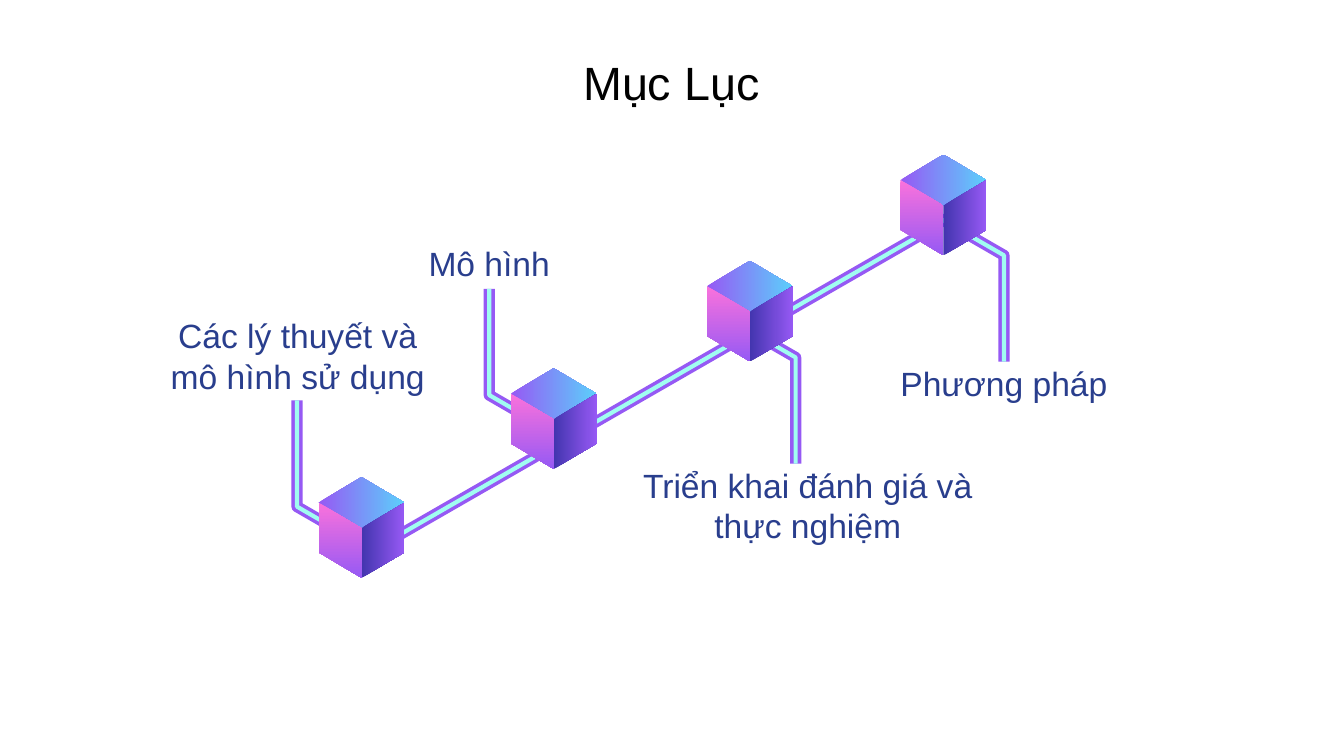
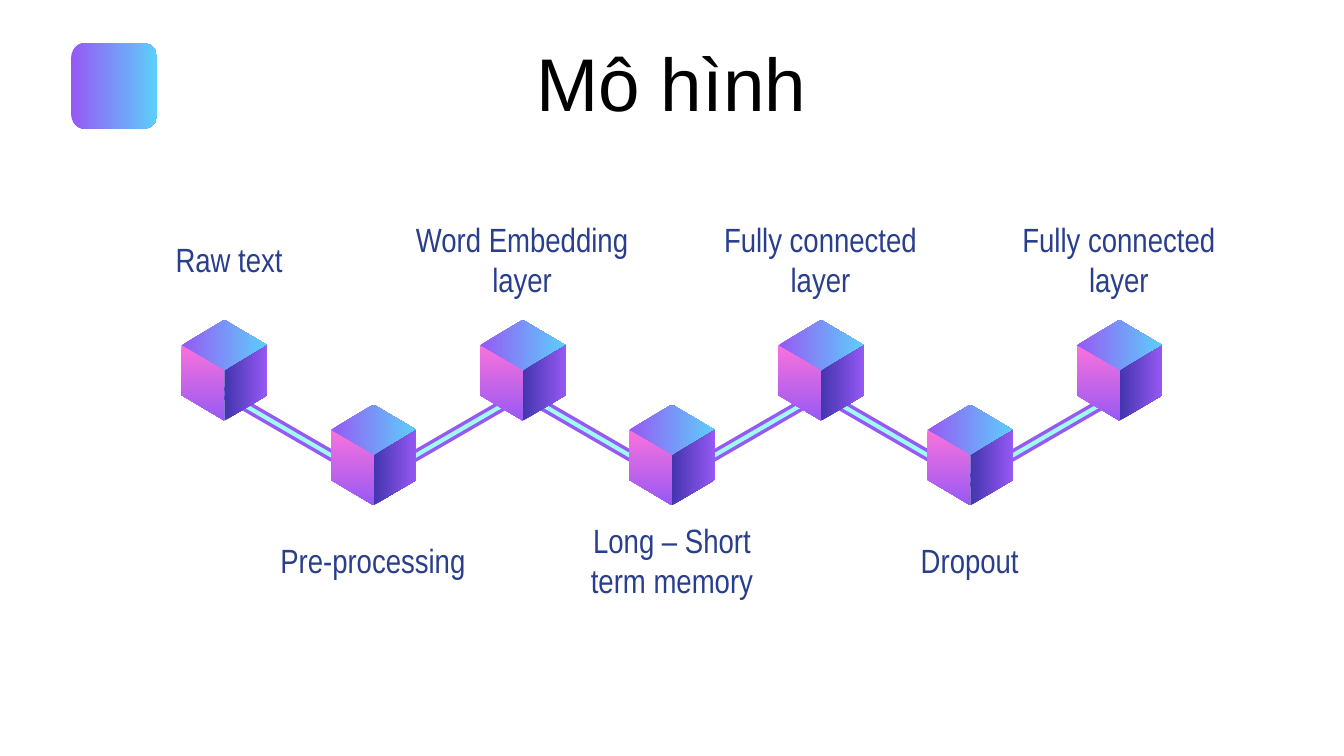
from lxml import etree
from pptx import Presentation
from pptx.dml.color import RGBColor
from pptx.enum import shapes, text
from pptx.oxml.ns import qn
from pptx.util import Inches, Pt

BLACK, NAVY = "000000", "293E8D"
PURPLE, SKY, PINK, INDIGO, MINT = "9659F4", "5CCFFB", "FA72DC", "4335AF", "A0FDF1"
TUBE = [(PURPLE, 6), (MINT, 2.25)]  # wide casing, then its bright core

HALF, RISE, EDGE = 0.32, 0.19, 0.37  # cube: half width, slope height, upright edge
BEND_W, BEND_H, BEND_SLOPE = 0.52, 1.09, 0.3

# cube centre and top, bend left, top and side, label box and text
STAGES = [
    ((2.69, 3.55), (2.21, 2.98, "left"), (1.02, 2.52, 2.39, 0.25),
     "Các lý thuyết và mô hình sử dụng"),
    ((4.12, 2.74), (3.64, 2.15, "left"), (2.58, 1.82, 2.12, 0.28), "Mô hình"),
    ((5.58, 1.94), (5.4, 2.36, "right"), (4.52, 3.62, 2.98, 0.28),
     "Triển khai đánh giá và thực nghiệm"),
    ((7.02, 1.15), (6.95, 1.6, "right"), (6.14, 2.71, 2.66, 0.28), "Phương pháp"),
]

# label text, left, width, height
LAYERS = [
    ("Raw text", 0.68, 2.05, 0.28),
    ("Pre-processing", 1.75, 2.05, 0.28),
    ("Word Embedding layer", 2.85, 2.07, 0.57),
    ("Long – Short term memory", 4.16, 1.68, 0.47),
    ("Fully connected layer", 5.2, 1.81, 0.57),
    ("Dropout", 6.19, 2.05, 0.28),
    ("Fully connected layer", 7.42, 1.81, 0.57),
]


def rgb(value):
    return RGBColor.from_string(value)


def fill_gradient(sp, start, end, angle=0):
    """Fill without outline; the angle turns clockwise."""
    sp.shadow.inherit = False
    sp.line.fill.background()
    sp.fill.gradient()
    sp.fill.gradient_angle = (360 - angle) % 360
    for stop, colour in zip(sp.fill.gradient_stops, (start, end)):
        stop.color.rgb = rgb(colour)


def outline(sp, colour, width):
    sp.line.color.rgb = rgb(colour)
    sp.line.width = Pt(width)


def freeform(parent, points, close):
    first, *rest = [(Inches(x), Inches(y)) for x, y in points]
    builder = parent.shapes.build_freeform(*first)
    builder.add_line_segments(rest, close=close)
    return builder.convert_to_shape()


def write(sp, content, size, font, colour):
    tf = sp.text_frame
    tf.word_wrap = True
    tf.auto_size = text.MSO_AUTO_SIZE.NONE
    tf.vertical_anchor = text.MSO_ANCHOR.MIDDLE
    tf.margin_left = tf.margin_right = tf.margin_top = tf.margin_bottom = Inches(0.1)
    tf.text = content
    p = tf.paragraphs[0]
    p.alignment = text.PP_ALIGN.CENTER
    r = p.runs[0]
    r.font.size, r.font.name = Pt(size), font
    r.font.color.rgb = rgb(colour)


def add_titled_slide(prs, title, size):
    s = prs.slides.add_slide(prs.slide_layouts[5])
    sp = s.shapes.title
    sp.left, sp.top, sp.width, sp.height = map(Inches, (0.56, 0.33, 8.87, 0.56))
    write(sp, title, size, "Arial", BLACK)
    return s


def label(s, content, box, font):
    sp = s.shapes.add_textbox(*map(Inches, box))
    write(sp, content, 18, font, NAVY)


def tube(s, start, end):
    for colour, width in TUBE:
        line = s.shapes.add_connector(
            shapes.MSO_CONNECTOR.STRAIGHT, *map(Inches, (*start, *end)))
        outline(line, colour, width)
        etree.SubElement(line._element.spPr, qn("a:effectLst"))


def bend(s, left, top, side):
    """Tube that leaves a cube aslant, then goes up (left) or down (right)."""
    corners = [(BEND_W, BEND_H), (0, BEND_H - BEND_SLOPE), (0, 0)]
    if side == "right":
        corners = [(BEND_W - x, BEND_H - y) for x, y in corners]
    for colour, width in TUBE:
        sp = freeform(s, [(left + x, top + y) for x, y in corners], close=False)
        sp.shadow.inherit = False
        sp.fill.background()
        outline(sp, colour, width)


def cube(s, centre, top):
    middle = (centre, top + 2 * RISE)
    bottom = (centre, top + 2 * RISE + EDGE)
    left, right = centre - HALF, centre + HALF
    shoulder = top + RISE
    faces = [
        ([middle, (left, shoulder), (centre, top), (right, shoulder)], PURPLE, SKY, 0),
        ([(left, shoulder), (left, shoulder + EDGE), bottom, middle], PINK, PURPLE, 90),
        ([(right, shoulder), middle, bottom, (right, shoulder + EDGE)], INDIGO, PURPLE, 0),
    ]
    group = s.shapes.add_group_shape()
    for points, start, end, angle in faces:
        fill_gradient(freeform(group, points, close=True), start, end, angle)


def contents_slide(prs):
    s = add_titled_slide(prs, "Mục Lục", 25)
    for _, elbow, _, _ in STAGES:
        bend(s, *elbow)
    tube(s, (6.97, 1.68), (2.85, 4.05))
    for position, _, _, _ in STAGES:
        cube(s, *position)
    for _, _, box, content in STAGES:
        label(s, content, box, "Arial")


def model_slide(prs):
    s = add_titled_slide(prs, "Mô hình", 40)
    centres = [1.67 + 1.11 * i for i in range(len(LAYERS))]
    for i, (here, after) in enumerate(zip(centres, centres[1:])):
        upper, lower, way = (after, here, -1) if i % 2 else (here, after, 1)
        tube(s, (upper - 0.24 * way, 2.79), (lower + 0.05 * way, 3.6))
    for i, centre in enumerate(centres):
        cube(s, centre, 3.01 if i % 2 else 2.38)
    for i, (content, left, width, height) in enumerate(LAYERS):
        middle = 4.17 if i % 2 else 1.93
        label(s, content, (left, middle - height / 2, width, height), "Arial Narrow")
    badge = s.shapes.add_shape(
        shapes.MSO_SHAPE.ROUNDED_RECTANGLE, *map(Inches, (0.53, 0.32, 0.64, 0.64)))
    fill_gradient(badge, PURPLE, SKY)


def main():
    prs = Presentation()
    prs.slide_width = Inches(10)
    prs.slide_height = prs.slide_width * 9 // 16
    contents_slide(prs)
    model_slide(prs)
    prs.save("out.pptx")


if __name__ == "__main__":
    main()
